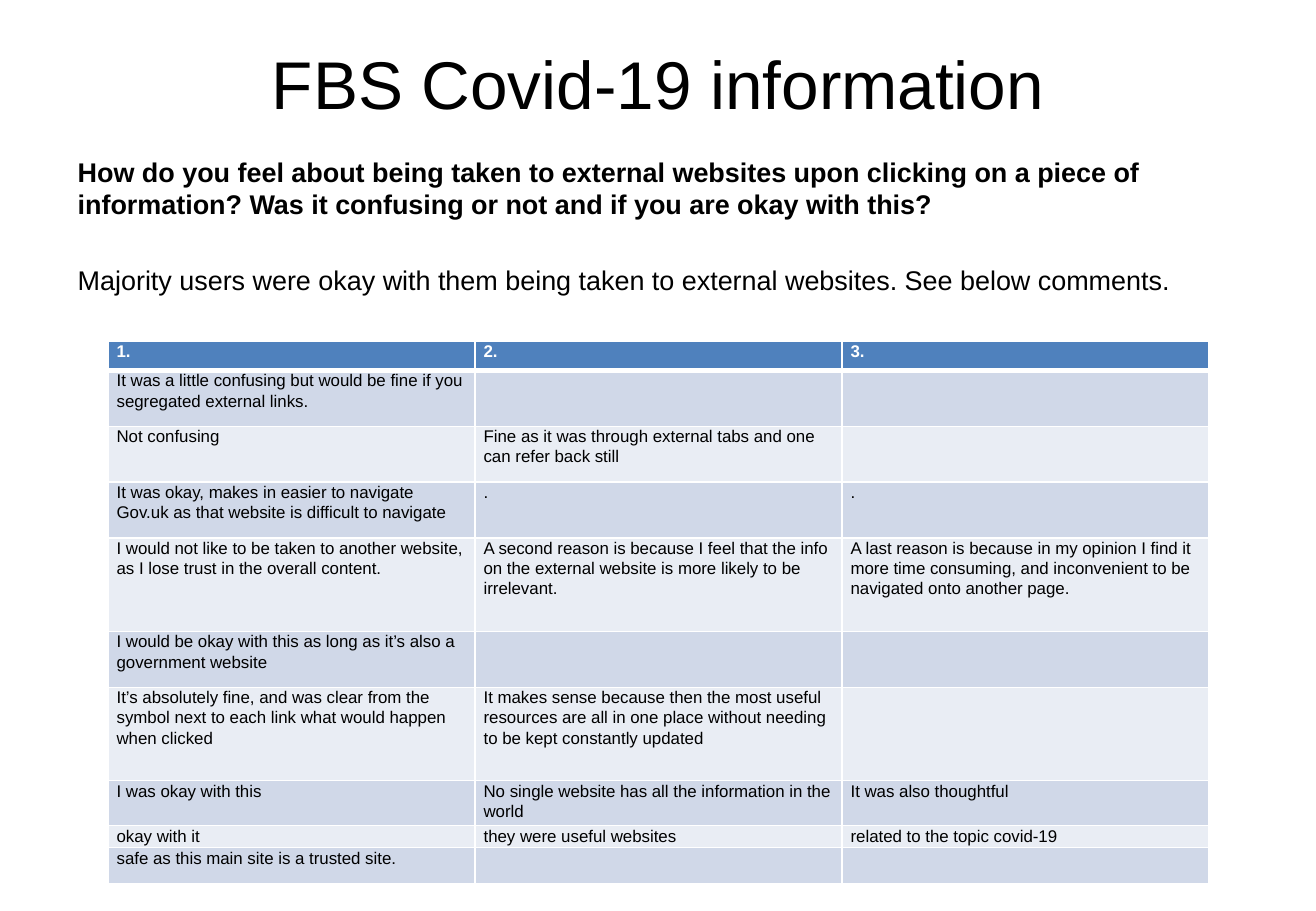
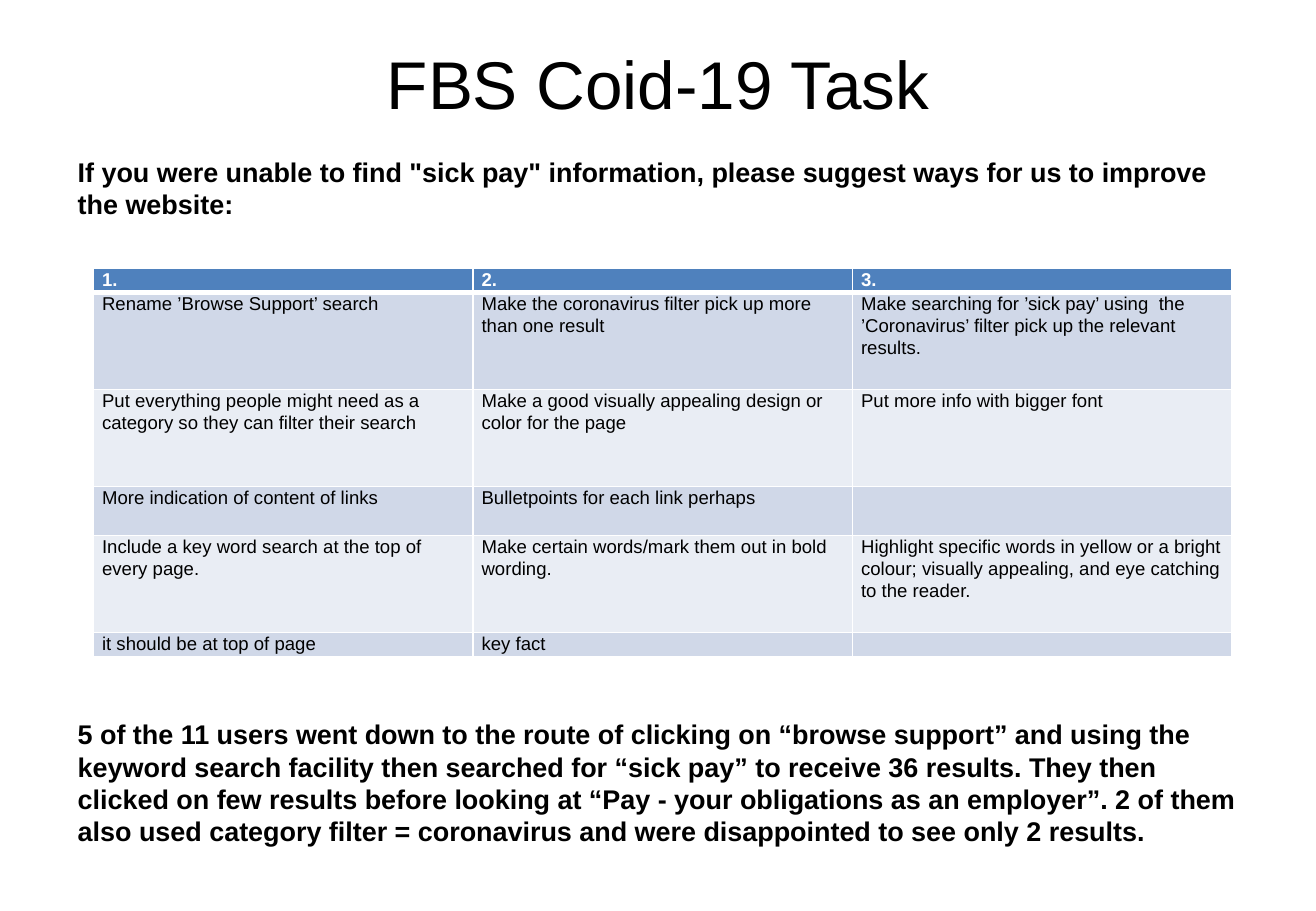
"""Build two survey-feedback slides, each with a title, a question and a comment table."""
from dataclasses import dataclass

from lxml import etree
from pptx import Presentation
from pptx.dml.color import RGBColor
from pptx.enum.text import MSO_ANCHOR, MSO_AUTO_SIZE, PP_ALIGN
from pptx.oxml.ns import qn
from pptx.util import Inches, Pt

TOP = MSO_ANCHOR.TOP
NO_FIT = MSO_AUTO_SIZE.NONE
CENTER = PP_ALIGN.CENTER
TITLE_ONLY = 5


@dataclass(frozen=True)
class Theme:
    font: str = "Arial"
    ink: str = "000000"
    white: str = "FFFFFF"
    header: str = "4F81BD"
    bands: tuple = ("E9EDF4", "D0D8E8")
    title: int = 40
    body: int = 16
    rule: int = 1
    header_rule: int = 3
    cell_spacing: float = 1.07


T = Theme()

SLIDES = [
    dict(
        title="FBS Covid-19 information",
        texts=[
            (16.4, [
                ("How do you feel about being taken to external websites upon clicking on a piece of "
                 "information? Was it confusing or not and if you are okay with this?", True),
                ("Majority users were okay with them being taken to external websites. "
                 "See below comments.", False),
            ]),
        ],
        table=(8.22, 37.47, 83.66),
        size=10,
        heights=[3.2, 6.13, 6.13, 6.13, 10.27, 6.13, 10.27, 4.93, 2.4, 4],
        rows=[
            ("1.", "2.", "3."),
            ("It was a little confusing but would be fine if you segregated external links.", "", ""),
            ("Not confusing", "Fine as it was through external tabs and one can refer back still", ""),
            ("It was okay, makes in easier to navigate Gov.uk as that website is difficult to navigate",
             ".", "."),
            ("I would not like to be taken to another website, as I lose trust in the overall content.",
             "A second reason is because I feel that the info on the external website is more likely "
             "to be irrelevant.",
             "A last reason is because in my opinion I find it more time consuming, and inconvenient "
             "to be navigated onto another page."),
            ("I would be okay with this as long as it’s also a government website", "", ""),
            ("It’s absolutely fine, and was clear from the symbol next to each link what would happen "
             "when clicked",
             "It makes sense because then the most useful resources are all in one place without "
             "needing to be kept constantly updated", ""),
            ("I was okay with this", "No single website has all the information in the world",
             "It was also thoughtful"),
            ("okay with it", "they were useful websites", "related to the topic covid-19"),
            ("safe as this main site is a trusted site.", "", ""),
        ],
    ),
    dict(
        title="FBS Coid-19 Task",
        texts=[
            (16.4, [
                ('If you were unable to find "sick pay" information, please suggest ways for us to '
                 "improve the website:", True),
            ]),
            (78.13, [
                ("5 of the 11 users went down to the route of clicking on “browse support” and using "
                 "the keyword search facility then searched for “sick pay” to receive 36 results. They "
                 "then clicked on few results before looking at “Pay - your obligations as an "
                 "employer”. 2 of them also used category filter = coronavirus and were disappointed "
                 "to see only 2 results.", True),
            ]),
        ],
        table=(7.11, 29.47, 86.52),
        size=11,
        heights=[2.53, 10.67, 10.67, 5.33, 10.67, 2.53],
        rows=[
            ("1.", "2.", "3."),
            ("Rename ’Browse Support’ search",
             "Make the coronavirus filter pick up more than one result",
             "Make searching for ’sick pay’ using  the ’Coronavirus’ filter pick up the relevant results."),
            ("Put everything people might need as a category so they can filter their search",
             "Make a good visually appealing design or color for the page",
             "Put more info with bigger font"),
            ("More indication of content of links", "Bulletpoints for each link perhaps", ""),
            ("Include a key word search at the top of every page.",
             "Make certain words/mark them out in bold wording.",
             "Highlight specific words in yellow or a bright colour; visually appealing, and eye "
             "catching to the reader."),
            ("it should be at top of page", "key fact", ""),
        ],
    ),
]


def write(p, text, size, color, bold=False):
    p.text = text
    p.font.name = T.font
    p.font.size = Pt(size)
    p.font.bold = bold
    p.font.color.rgb = RGBColor.from_string(color)


def add_borders(cell, bottom):
    tc_pr = cell._tc.get_or_add_tcPr()
    for side, width in (("L", T.rule), ("R", T.rule), ("T", T.rule), ("B", bottom)):
        ln = etree.SubElement(tc_pr, qn(f"a:ln{side}"), w=str(Pt(width)))
        fill = etree.SubElement(ln, qn("a:solidFill"))
        etree.SubElement(fill, qn("a:srgbClr"), val=T.white)


prs = Presentation()
prs.slide_width, prs.slide_height = Inches(10.83), Inches(7.5)
COL, ROW = prs.slide_width / 100, prs.slide_height / 100
LEFT, WIDTH = int(5 * COL), int(90 * COL)

for data in SLIDES:
    s = prs.slides.add_slide(prs.slide_layouts[TITLE_ONLY])
    sp = s.shapes.title
    sp.left, sp.top, sp.width, sp.height = LEFT, int(4 * ROW), WIDTH, int(16.67 * ROW)
    tf = sp.text_frame
    tf.vertical_anchor = TOP
    tf.auto_size = NO_FIT
    write(tf.paragraphs[0], data["title"], T.title, T.ink)
    tf.paragraphs[0].alignment = CENTER

    for top, paragraphs in data["texts"]:
        sp = s.shapes.add_textbox(LEFT, int(top * ROW), WIDTH, int(17 * ROW))
        tf = sp.text_frame
        tf.word_wrap = True
        for i, (text, bold) in enumerate(paragraphs):
            p = tf.add_paragraph() if i else tf.paragraphs[0]
            write(p, text, T.body, T.ink, bold)
            if i:
                p.space_before = Pt(26)

    left, top, width = data["table"]
    rows, heights = data["rows"], data["heights"]
    table = s.shapes.add_table(len(rows), len(rows[0]), int(left * COL), int(top * ROW),
                               int(width * COL), int(sum(heights) * ROW)).table
    for r, (texts, height) in enumerate(zip(rows, heights)):
        table.rows[r].height = int(height * ROW)
        head = r == 0
        for c, text in enumerate(texts):
            cell = table.cell(r, c)
            cell.margin_left = cell.margin_right = Inches(0.07)
            cell.margin_top = cell.margin_bottom = 0
            add_borders(cell, T.header_rule if head else T.rule)
            cell.fill.solid()
            cell.fill.fore_color.rgb = RGBColor.from_string(T.header if head else T.bands[r % 2])
            p = cell.text_frame.paragraphs[0]
            write(p, text, data["size"], T.white if head else T.ink, head)
            p.line_spacing = T.cell_spacing
            if not text:
                etree.SubElement(p._p, qn("a:endParaRPr"), sz=str(data["size"] * 100))

prs.save("out.pptx")
